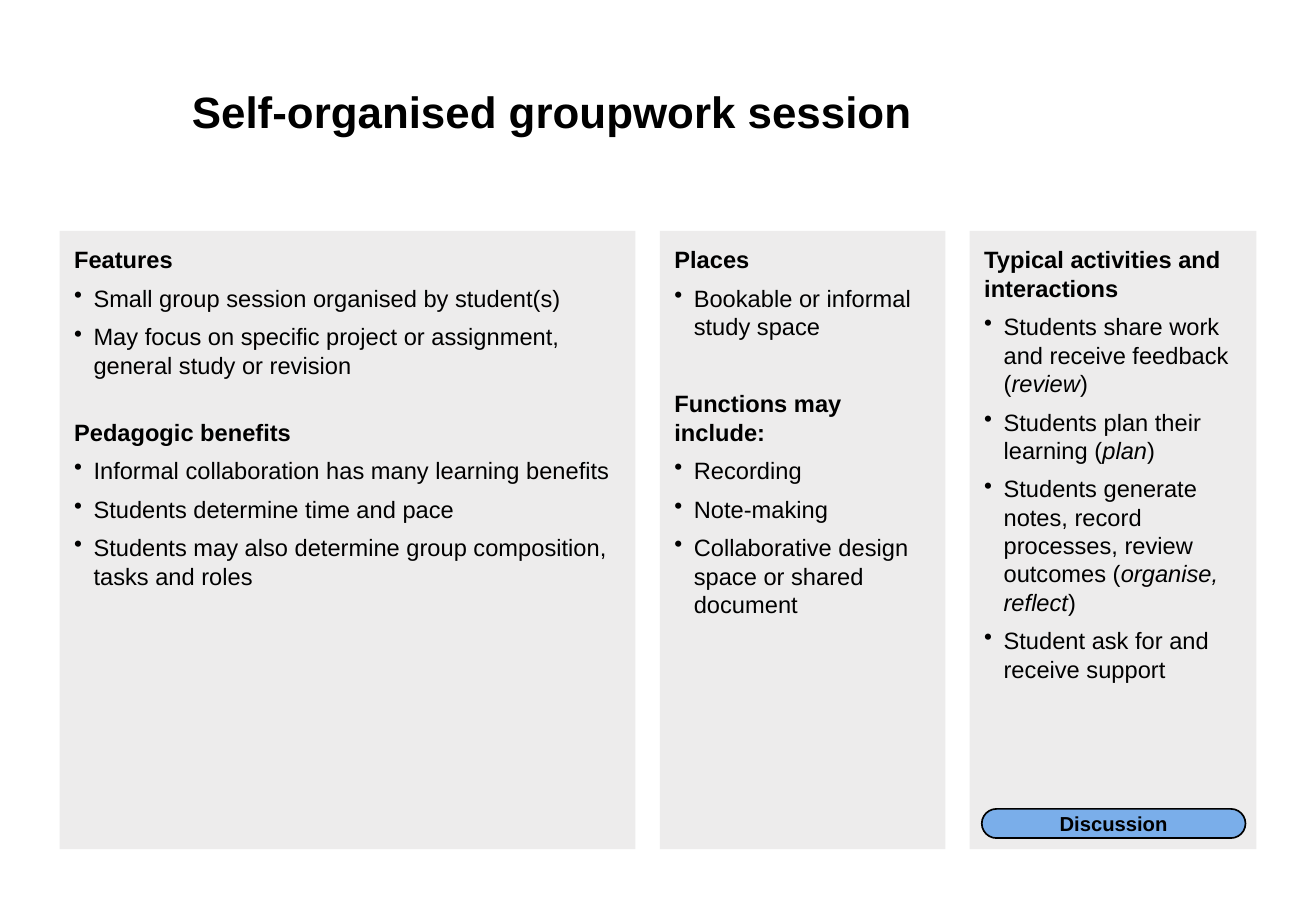
from dataclasses import dataclass

from lxml.etree import SubElement as Sub
from pptx import Presentation
from pptx.dml.color import RGBColor as Color
from pptx.enum.shapes import MSO_SHAPE as Shape
from pptx.enum.text import MSO_ANCHOR as Anchor, PP_ALIGN as Align
from pptx.oxml.ns import qn
from pptx.util import Inches, Pt


@dataclass(frozen=True)
class Theme:
    font: str = "Arial"
    ink: Color = Color(0x00, 0x00, 0x00)
    panel: Color = Color(0xED, 0xEC, 0xEC)
    pill: Color = Color(0x7A, 0xAE, 0xEA)
    title: float = 26
    body: float = 14
    label: float = 12
    lead: float = 16.8
    space: float = 6


THEME = Theme()

COLUMNS = [
    (4.74, [
        ("Features", 0, [
            "Small group session organised by student(s)",
            "May focus on specific project or assignment, general study or revision",
        ]),
        ("Pedagogic benefits", 16.8, [
            "Informal collaboration has many learning benefits",
            "Students determine time and pace",
            "Students may also determine group composition, tasks and roles",
        ]),
    ]),
    (2.35, [
        ("Places", 0, ["Bookable or informal study space"]),
        ("Functions may include:", 22.8, [
            "Recording",
            "Note-making",
            "Collaborative design space or shared document",
        ]),
    ]),
    (2.36, [
        ("Typical activities and interactions", 0, [
            "Students share work and receive feedback (*review*)",
            "Students plan their learning (*plan*)",
            "Students generate notes, record processes, review outcomes (*organise, reflect*)",
            "Student ask for and receive support",
        ]),
    ]),
]


def set_frame(shape, sides, anchor):
    frame = shape.text_frame
    frame.word_wrap = True
    frame.vertical_anchor = anchor
    (frame.margin_left, frame.margin_top,
     frame.margin_right, frame.margin_bottom) = map(Inches, sides)
    return frame


def write(frame, text, size, bold=False, align=Align.LEFT, before=0, lead=None, bullet=False):
    para = frame.paragraphs[0]
    if para.runs:
        para = frame.add_paragraph()
    para.alignment = align
    para.space_before = Pt(before)
    if lead:
        para.line_spacing = Pt(lead)
    if bullet:
        props = para._p.get_or_add_pPr()
        props.set("marL", str(Inches(0.16)))
        props.set("indent", str(Inches(-0.16)))
        Sub(props, qn("a:buChar")).set("char", "•")
    for i, part in enumerate(text.split("*")):
        run = para.add_run()
        run.text = part
        font = run.font
        font.name = THEME.font
        font.size = Pt(size)
        font.bold = bold
        font.italic = i % 2 == 1
        font.color.rgb = THEME.ink


def add_block(slide, kind, box, fill):
    shape = slide.shapes.add_shape(kind, *map(Inches, box))
    shape.shadow.inherit = False
    shape.fill.solid()
    shape.fill.fore_color.rgb = fill
    shape.line.fill.background()
    return shape


def add_title(slide, box, text):
    shape = slide.shapes.add_textbox(*map(Inches, box))
    frame = set_frame(shape, (0.3, 0, 0, 0), Anchor.MIDDLE)
    write(frame, text, THEME.title, bold=True)


def add_panel(slide, box, groups):
    shape = add_block(slide, Shape.RECTANGLE, box, THEME.panel)
    frame = set_frame(shape, [0.12] * 4, Anchor.TOP)
    for head, gap, items in groups:
        write(frame, head, THEME.body, bold=True,
              before=THEME.space + gap, lead=THEME.lead)
        for item in items:
            write(frame, item, THEME.body, before=THEME.space,
                  lead=THEME.lead, bullet=True)


def add_pill(slide, box, text):
    left, top, width, height = box
    place = (left + 0.1, top + height - 0.33, width - 0.19, 0.24)
    shape = add_block(slide, Shape.ROUNDED_RECTANGLE, place, THEME.pill)
    shape.adjustments[0] = 0.5
    shape.line.color.rgb = THEME.ink
    shape.line.width = Pt(1)
    frame = set_frame(shape, (0.2, 0.05, 0.2, 0.05), Anchor.MIDDLE)
    write(frame, text, THEME.label, bold=True, align=Align.CENTER)


def add_body(slide, box, gap=0.2):
    left, top, _, height = box
    for width, groups in COLUMNS:
        area = (left, top, width, height)
        add_panel(slide, area, groups)
        left += width + gap
    add_pill(slide, area, "Discussion")


def main():
    deck = Presentation()
    deck.slide_width = Inches(10.83)
    deck.slide_height = Inches(7.5)
    slide = deck.slides.add_slide(deck.slide_layouts[6])
    add_title(slide, (1.28, 0.52, 7.09, 0.79), "Self-organised groupwork session")
    add_body(slide, (0.49, 1.9, 9.85, 5.09))
    deck.save("out.pptx")


if __name__ == "__main__":
    main()
